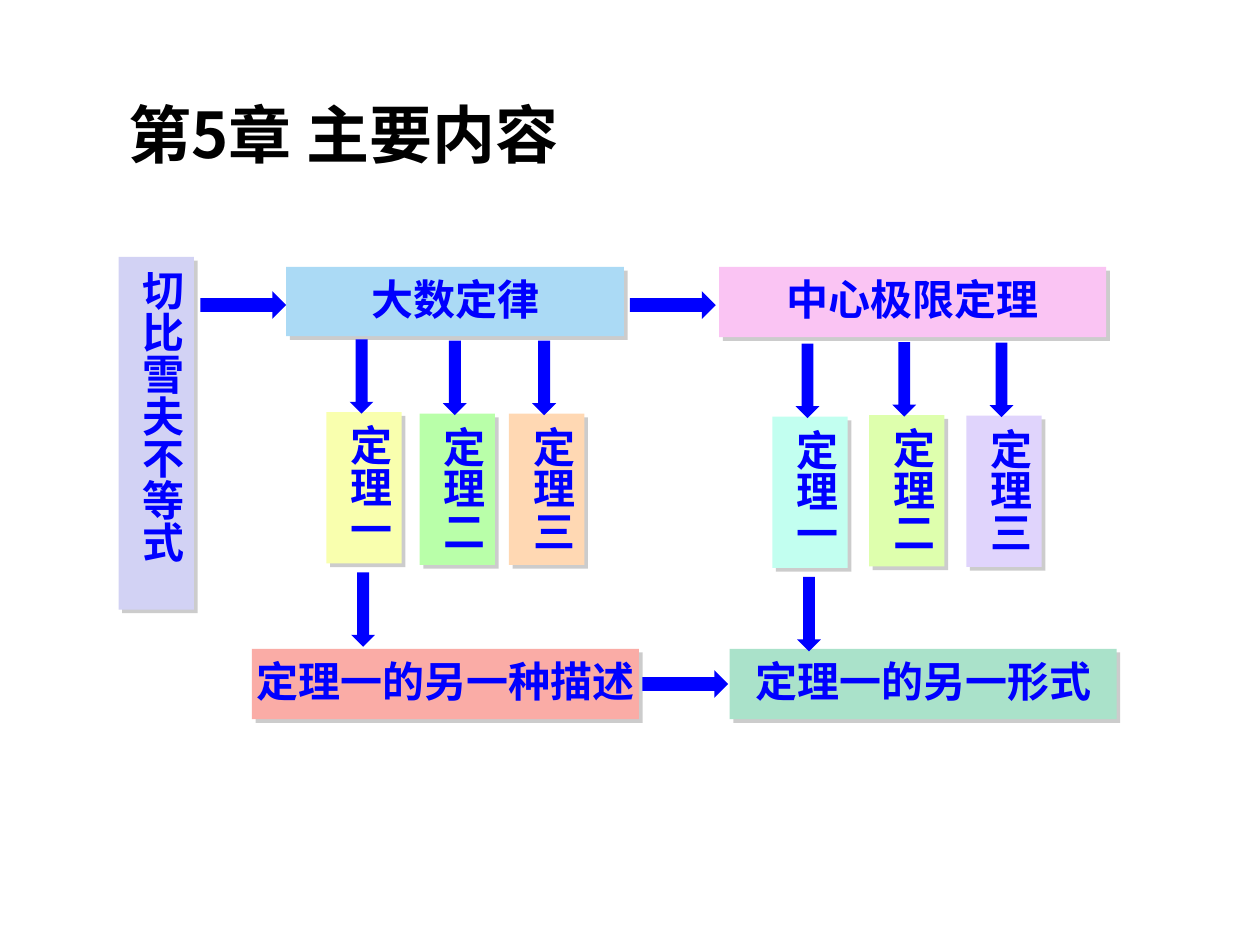
from lxml import etree
from pptx import Presentation
from pptx.dml.color import RGBColor
from pptx.enum import shapes, text
from pptx.oxml import ns
from pptx.util import Cm, Pt

THEME = {
    "font": "Noto Sans CJK SC",
    "title": (36, "000000"),
    "label": (24, "0000FF"),
    "arrow": "0000FF",
    "shadow": "808080",
}
TITLE = "第5章 主要内容"

# Lengths in cm: text, fill, left, top, width, height
WIDE = [
    ("大数定律", "ABDAF5", 5.77, 5.38, 6.81, 1.4),
    ("中心极限定理", "FAC4F3", 14.5, 5.38, 7.8, 1.42),
    ("定理一的另一种描述", "FAACA6", 5.08, 13.08, 7.8, 1.42),
    ("定理一的另一形式", "AAE2CA", 14.71, 13.08, 7.8, 1.42),
]
ROOT = ("切比雪夫不等式", "D2D2F4", 2.39, 5.18, 1.52, 7.11)

# Each group: text, fill, left, top; the first theorem leads on downwards
GROUPS = [
    [("定理一", "F9FFAE", 6.58, 8.31),
     ("定理二", "B9FFA9", 8.46, 8.34),
     ("定理三", "FFD8B3", 10.26, 8.34)],
    [("定理一", "C2FFF0", 15.57, 8.4),
     ("定理二", "DEFFAD", 17.52, 8.37),
     ("定理三", "E0D4FC", 19.48, 8.38)],
]
LINKS = [(4.04, 5.87), (12.7, 5.87), (12.95, 13.51)]

CARD = (1.52, 3.05)
DOWN = (0.48, 1.5)
RIGHT = (1.73, 0.56)


def style(par, kind):
    size, color = THEME[kind]
    for run in par.runs:
        font = run.font
        font.name, font.size, font.bold = THEME["font"], Pt(size), True
        font.color.rgb = RGBColor.from_string(color)
        # East Asian glyphs take their own typeface entry
        east = etree.SubElement(run._r.get_or_add_rPr(), ns.qn("a:ea"))
        east.set("typeface", THEME["font"])


def draw(slide, kind, fill, *spot):
    shape = slide.shapes.add_shape(kind, *map(Cm, spot))
    shape.shadow.inherit = False
    shape.fill.solid()
    shape.fill.fore_color.rgb = RGBColor.from_string(fill)
    shape.line.fill.background()
    return shape


def shade(shape):
    """Cast a hard shadow down and to the right."""
    effects = shape._element.spPr.find(ns.qn("a:effectLst"))
    cast = etree.SubElement(effects, ns.qn("a:outerShdw"), blurRad="0",
                            dist=str(Pt(3)), dir="2700000", algn="ctr",
                            rotWithShape="0")
    color = etree.SubElement(cast, ns.qn("a:srgbClr"), val=THEME["shadow"])
    etree.SubElement(color, ns.qn("a:alpha"), val="40000")


def box(slide, label, fill, *spot, tall=False):
    shape = draw(slide, shapes.MSO_SHAPE.RECTANGLE, fill, *spot)
    shade(shape)
    frame = shape.text_frame
    frame.text = label
    frame.vertical_anchor = text.MSO_ANCHOR.TOP
    frame.word_wrap = tall
    side, edge = (0.13, 0.25) if tall else (0.25, 0.13)
    frame.margin_left = frame.margin_right = Cm(side)
    frame.margin_top = frame.margin_bottom = Cm(edge)
    if tall:
        frame.auto_size = text.MSO_AUTO_SIZE.SHAPE_TO_FIT_TEXT
        frame._txBody.bodyPr.set("vert", "eaVert")
    par = frame.paragraphs[0]
    par.alignment = text.PP_ALIGN.CENTER
    style(par, "label")


def head(slide):
    title = slide.shapes.title
    title.left, title.top, title.width, title.height = map(
        Cm, (2.34, 1.8, 21.16, 1.78))
    frame = title.text_frame
    frame.text = TITLE
    frame.word_wrap = True
    frame.vertical_anchor = text.MSO_ANCHOR.MIDDLE
    frame.auto_size = text.MSO_AUTO_SIZE.SHAPE_TO_FIT_TEXT
    frame.paragraphs[0].alignment = text.PP_ALIGN.LEFT
    style(frame.paragraphs[0], "title")


def main():
    deck = Presentation()
    deck.slide_width, deck.slide_height = Cm(25.4), Cm(19.05)
    slide = deck.slides.add_slide(deck.slide_layouts[5])
    head(slide)

    box(slide, *ROOT, tall=True)
    for item in WIDE:
        box(slide, *item)

    down = shapes.MSO_SHAPE.DOWN_ARROW
    for group in GROUPS:
        for label, fill, left, top in group:
            box(slide, label, fill, left, top, *CARD, tall=True)
            draw(slide, down, THEME["arrow"], left + 0.47, top - 1.47, *DOWN)
        left, top = group[0][2:]
        draw(slide, down, THEME["arrow"], left + 0.5, top + 3.23, *DOWN)

    for spot in LINKS:
        draw(slide, shapes.MSO_SHAPE.RIGHT_ARROW, THEME["arrow"], *spot, *RIGHT)

    deck.save("out.pptx")


if __name__ == "__main__":
    main()
